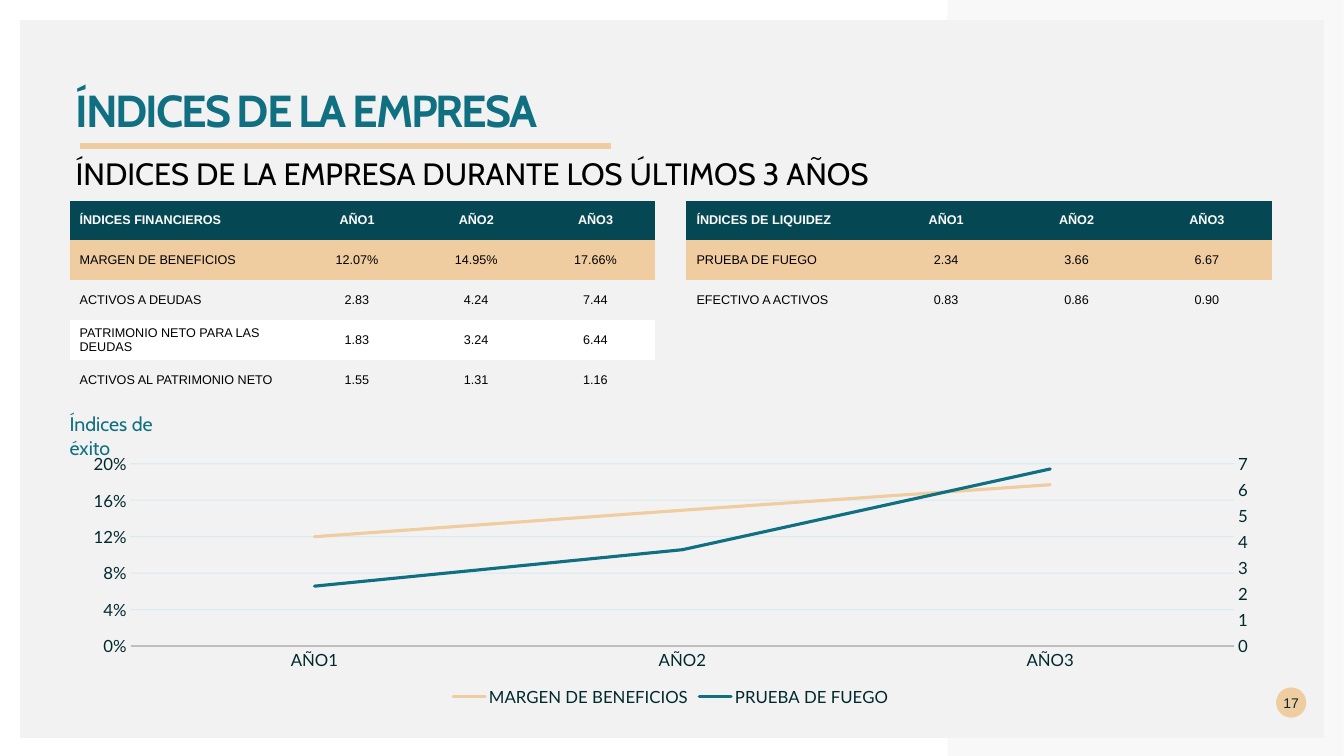
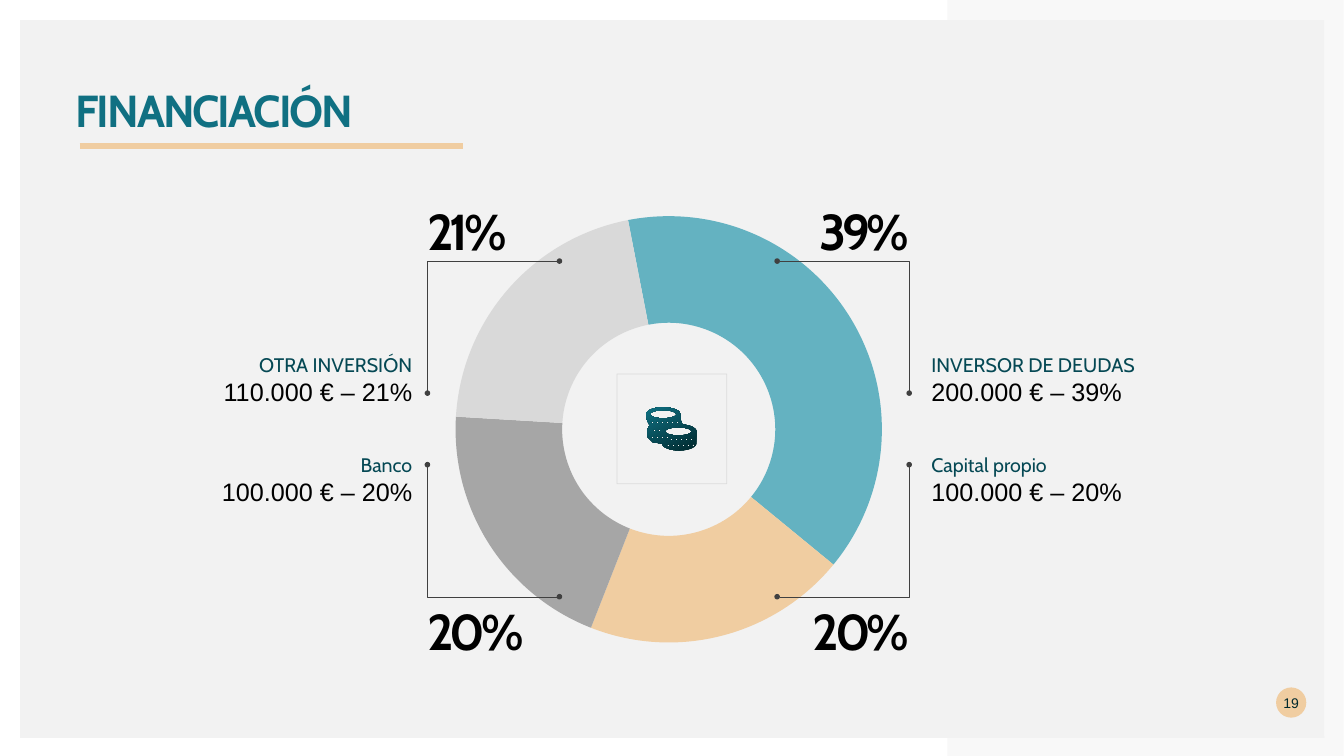
"""Build the company ratios slide and the financing slide."""
from copy import deepcopy
from math import cos, pi, sin
from lxml.etree import SubElement
from pptx import Presentation
from pptx.chart.axis import ValueAxis
from pptx.chart.data import CategoryChartData
from pptx.dml.color import RGBColor
from pptx.enum.chart import XL_CHART_TYPE as CT, XL_LEGEND_POSITION as LP, XL_TICK_MARK as TM
from pptx.enum.shapes import MSO_CONNECTOR as CN, MSO_SHAPE as SH
from pptx.enum.text import MSO_ANCHOR as ANC, PP_ALIGN as AL
from pptx.oxml.ns import qn
from pptx.util import Inches, Pt

WHITE = RGBColor(0xFF, 0xFF, 0xFF)
BLACK = RGBColor(0, 0, 0)
PANEL = RGBColor(0xF2, 0xF2, 0xF2)
SAND = RGBColor(0xF0, 0xCD, 0xA1)
TEAL = RGBColor(0x10, 0x70, 0x82)
DEEP = RGBColor(0x05, 0x48, 0x54)
INK = RGBColor(0x00, 0x29, 0x2E)
SKY = RGBColor(0x64, 0xB2, 0xC1)
GRID = RGBColor(0x00, 0xAE, 0xEF)
LEADER = RGBColor(0x40, 0x40, 0x40)
GREY = RGBColor(0x80, 0x80, 0x80)
MID_GREY = RGBColor(0xA6, 0xA6, 0xA6)
AXIS_GREY = RGBColor(0xBF, 0xBF, 0xBF)
LIGHT_GREY = RGBColor(0xD9, 0xD9, 0xD9)

TITLE = dict(name="Cabin", size=Pt(32), bold=True, color=TEAL, spc=-150)
SUBTITLE = dict(name="Cabin", size=Pt(22), color=BLACK)
CAPTION = dict(name="Cabin", size=Pt(14), color=TEAL)
LABEL = dict(name="Cabin", size=Pt(14), color=DEEP)
AMOUNT = dict(name="Arial", size=Pt(18), color=BLACK)
PERCENT = dict(name="Cabin", size=Pt(36), bold=True, color=BLACK, spc=-300)
NUMBER = dict(name="Arial", size=Pt(10), color=INK)
HEAD = dict(name="Arial", size=Pt(9), bold=True, color=WHITE)
CELL = dict(name="Arial", size=Pt(9), bold=False, color=BLACK)
AXIS = dict(name="Lato", size=Pt(12), color=INK)

ROW_FILLS = [DEEP, SAND, PANEL, WHITE, PANEL]
NO_STYLE = "{2D5ABB26-0587-4C30-8999-92F81FD0307C}"
CENTER = 6.63


def box(x, y, w, h):
    return [Inches(v) for v in (x, y, w, h)]


def set_font(font, style):
    for name, value in style.items():
        if name == "color":
            font.color.rgb = value
        elif name != "spc":
            setattr(font, name, value)


def write(p, text, style, align=AL.LEFT):
    p.alignment = align
    r = p.add_run()
    r.text = text
    set_font(r.font, style)
    if "spc" in style:
        r.font._element.set("spc", str(style["spc"]))


def set_alpha(fill_parent, percent):
    color = next(fill_parent.iter(qn("a:srgbClr")))
    SubElement(color, qn("a:alpha")).set("val", str(percent * 1000))


def frame_text(shape, lines, align=AL.LEFT, anchor=ANC.TOP):
    tf = shape.text_frame
    formats = dict(word_wrap=True, vertical_anchor=anchor, margin_left=0,
                   margin_right=0, margin_top=0, margin_bottom=0)
    for name, value in formats.items():
        setattr(tf, name, value)
    for i, (text, style) in enumerate(lines):
        write(tf.add_paragraph() if i else tf.paragraphs[0], text, style, align)
    return tf


def add_text(s, at, lines, align=AL.LEFT, anchor=ANC.TOP):
    return frame_text(s.shapes.add_textbox(*box(*at)), lines, align, anchor)


def add_fill_shape(s, kind, at, color=None):
    sp = s.shapes.add_shape(kind, *box(*at))
    sp.shadow.inherit = False
    sp.line.fill.background()
    if color is None:
        sp.fill.background()
    else:
        sp.fill.solid()
        sp.fill.fore_color.rgb = color
    return sp


def add_outline(s, contours, close):
    fb = None
    for points in contours:
        start, *rest = [(Inches(x), Inches(y)) for x, y in points]
        if fb is None:
            fb = s.shapes.build_freeform(*start, scale=1.0)
        else:
            fb.move_to(*start)
        fb.add_line_segments(rest, close=close)
    sp = fb.convert_to_shape()
    sp.shadow.inherit = False
    return sp


def add_base(prs, title, number, rule_width):
    s = prs.slides.add_slide(prs.slide_layouts[6])
    add_fill_shape(s, SH.RECTANGLE, (0.2, 0.2, 12.94, 7.12), PANEL)
    edge = add_outline(s, [[(9.4, 0), (13.33, 0), (13.33, 7.5), (9.4, 7.5),
                            (9.4, 7.3), (13.14, 7.3), (13.14, 0.2), (9.4, 0.2)]], True)
    edge.fill.solid()
    edge.fill.fore_color.rgb = PANEL
    edge.line.fill.background()
    set_alpha(edge._element.spPr, 50)
    badge = add_fill_shape(s, SH.OVAL, (12.66, 6.82, 0.3, 0.3), SAND)
    frame_text(badge, [(number, NUMBER)], AL.CENTER, ANC.MIDDLE)
    tf = add_text(s, (0.75, 0.88, 8.27, 0.4), [(title, TITLE)])
    tf.paragraphs[0].line_spacing = 0.9
    rule = s.shapes.add_connector(CN.STRAIGHT, *box(0.79, 1.45, 0.79 + rule_width, 1.45))
    rule.line.color.rgb = SAND
    rule.line.width = Pt(4.32)
    SubElement(rule._element.spPr, qn("a:effectLst"))
    return s


def add_grid(s, x, first_width, rows):
    width, height = 5.81, 1.97 / 5
    gf = s.shapes.add_table(len(rows), 4, *box(x, 1.99, width, height * len(rows)))
    table = gf.table
    table._tbl.tblPr.find(qn("a:tableStyleId")).text = NO_STYLE
    for j, col in enumerate(table.columns):
        col.width = Inches((width - first_width) / 3 if j else first_width)
    for i, values in enumerate(rows):
        table.rows[i].height = Inches(height)
        for j, text in enumerate(values):
            cell = table.cell(i, j)
            cell.fill.solid()
            cell.fill.fore_color.rgb = ROW_FILLS[i]
            cell.vertical_anchor = ANC.MIDDLE
            write(cell.text_frame.paragraphs[0], text, CELL if i else HEAD,
                  AL.CENTER if j else AL.LEFT)


def add_right_axis(chart):
    line = chart.plots[0]._element
    cat, val = chart.category_axis._element, chart.value_axis._element
    right_line, right_cat, right_val = (deepcopy(e) for e in (line, cat, val))
    line.remove(line.findall(qn("c:ser"))[1])
    right_line.remove(right_line.find(qn("c:ser")))
    for e, ids in zip(right_line.findall(qn("c:axId")), ("5001", "5002")):
        e.set("val", ids)
    for e, own, other in ((right_cat, "5001", "5002"), (right_val, "5002", "5001")):
        e.find(qn("c:axId")).set("val", own)
        e.find(qn("c:crossAx")).set("val", other)
    right_cat.find(qn("c:delete")).set("val", "1")
    right_val.find(qn("c:axPos")).set("val", "r")
    right_val.find(qn("c:crosses")).set("val", "max")
    axis = ValueAxis(right_val)
    for name, value in dict(has_major_gridlines=False, maximum_scale=7, major_unit=1).items():
        setattr(axis, name, value)
    axis.tick_labels.number_format = "#,##0"
    line.addnext(right_line)
    val.addnext(right_val)
    val.addnext(right_cat)


def add_line_chart(s):
    data = CategoryChartData()
    data.categories = ["AÑO1", "AÑO2", "AÑO3"]
    data.add_series("MARGEN DE BENEFICIOS", (0.12, 0.149, 0.177), "0%")
    data.add_series("PRUEBA DE FUEGO", (2.3, 3.7, 6.8), "#,##0")
    chart = s.shapes.add_chart(CT.LINE, *box(0.69, 4.45, 11.93, 2.6), data).chart
    chart.has_title = False
    chart.has_legend = True
    chart.legend.position = LP.BOTTOM
    chart.legend.include_in_layout = False
    cat, val = chart.category_axis, chart.value_axis
    formats = dict(minimum_scale=0, maximum_scale=0.2, major_unit=0.04, has_major_gridlines=True)
    for name, value in formats.items():
        setattr(val, name, value)
    val.tick_labels.number_format = "0%"
    val.tick_labels.number_format_is_linked = False
    for axis in (cat, val):
        axis.major_tick_mark = axis.minor_tick_mark = TM.NONE
    for font in (chart.font, chart.legend.font, cat.tick_labels.font, val.tick_labels.font):
        set_font(font, AXIS)
    val.format.line.fill.background()
    grid = val.major_gridlines.format.line
    strokes = [(cat.format.line, AXIS_GREY, 1.5), (grid, GRID, 0.75)]
    for series, color in zip(chart.plots[0].series, (SAND, TEAL)):
        series.smooth = False
        strokes.append((series.format.line, color, 2.25))
    for line, color, width in strokes:
        line.color.rgb = color
        line.width = Pt(width)
        line._ln.set("cap", "rnd" if width > 2 else "flat")
    set_alpha(val._element.find(qn("c:majorGridlines")), 10)
    chart.plots[0].vary_by_categories = False
    add_right_axis(chart)


def add_ring(s):
    data = CategoryChartData()
    data.categories = ["1", "2", "3", "4"]
    data.add_series("Series 1", (39, 20, 20, 21))
    chart = s.shapes.add_chart(CT.DOUGHNUT, *box(3.26, 2.01, 6.75, 4.5), data).chart
    chart.has_title = chart.has_legend = False
    set_font(chart.font, dict(NUMBER, color=BLACK))
    plot = chart.plots[0]
    plot._element.find(qn("c:firstSliceAng")).set("val", "349")
    plot._element.find(qn("c:holeSize")).set("val", "83")
    for i, color in enumerate((SKY, SAND, MID_GREY, LIGHT_GREY)):
        fmt = plot.series[0].points[i].format
        fmt.fill.solid()
        fmt.fill.fore_color.rgb = color
        fmt.line.fill.background()
    area = plot._element.getparent()
    old = area.find(qn("c:layout"))
    if old is not None:
        area.remove(old)
    layout = area.makeelement(qn("c:layout"), {})
    area.insert(0, layout)
    manual = SubElement(layout, qn("c:manualLayout"))
    for tag, value in (("layoutTarget", "inner"), ("xMode", "edge"), ("yMode", "edge"),
                       ("x", "0.18"), ("y", "0.03"), ("w", "0.64"), ("h", "0.94")):
        SubElement(manual, qn("c:" + tag)).set("val", value)


def add_callout(s, side, top, label, amount, percent):
    align = AL.RIGHT if side < 0 else AL.LEFT
    text_x = 1.87 if side < 0 else 9.24
    add_text(s, (text_x, 3.26 if top else 4.49, 2.22, 0.77),
             [(label, LABEL), (f"{amount} € – {percent}", AMOUNT)],
             align, ANC.BOTTOM if top else ANC.TOP)
    inner, outer = CENTER + side * 1.08, CENTER + side * 2.39
    y, end = (2.59, 3.9) if top else (5.92, 4.61)
    leader = add_outline(s, [[(inner, y), (outer, y), (outer, end)]], False)
    leader.fill.background()
    leader.line.color.rgb = LEADER
    leader.line.width = Pt(0.25)
    for tag in ("a:headEnd", "a:tailEnd"):
        tip = SubElement(leader.line._ln, qn(tag))
        for name, value in dict(type="oval", w="sm", len="sm").items():
            tip.set(name, value)
    add_text(s, (4.24 if side < 0 else 7.96, 1.96 if top else 5.92, 1.06, 0.63),
             [(percent, PERCENT)], AL.LEFT if side < 0 else AL.RIGHT, ANC.BOTTOM)


def arc(cx, cy, rx, ry, start, end, steps):
    angles = [pi * (start + (end - start) * k / steps) for k in range(steps + 1)]
    return [(cx + rx * cos(a), cy + ry * sin(a)) for a in angles]


def add_coins(s):
    body = [*arc(6.58, 4.11, 0.17, 0.07, 1, 2, 12), (6.75, 4.16), (6.77, 4.21),
            *arc(6.74, 4.28, 0.17, 0.07, 1.6, 2, 6),
            *arc(6.74, 4.4, 0.17, 0.07, 0, 1, 12), (6.48, 4.39), (6.42, 4.33),
            (6.42, 4.27), (6.44, 4.23), (6.44, 4.21), (6.42, 4.17)]
    contours = [body, arc(6.58, 4.11, 0.13, 0.04, 0, 2, 20), arc(6.73, 4.28, 0.13, 0.04, 0, 2, 20)]
    for left, y, count in ((6.46, 4.18, 6), (6.48, 4.26, 2), (6.46, 4.33, 4),
                           (6.65, 4.35, 5), (6.62, 4.41, 6)):
        for k in range(count):
            x = left + k * 0.05
            contours.append([(x, y), (x + 0.02, y), (x + 0.02, y + 0.02), (x, y + 0.02)])
    coins = add_outline(s, contours, True)
    coins.line.fill.background()
    coins.fill.gradient()
    coins.fill.gradient_angle = 120
    for stop, color in zip(coins.fill.gradient_stops, (INK, TEAL)):
        stop.color.rgb = color


def add_ratios(prs):
    s = add_base(prs, "ÍNDICES DE LA EMPRESA", "17", 5.27)
    add_text(s, (0.75, 1.53, 8.27, 0.39),
             [("ÍNDICES DE LA EMPRESA DURANTE LOS ÚLTIMOS 3 AÑOS", SUBTITLE)])
    years = ["AÑO1", "AÑO2", "AÑO3"]
    add_grid(s, 0.69, 2.26, [
        ["ÍNDICES FINANCIEROS", *years],
        ["MARGEN DE BENEFICIOS", "12.07%", "14.95%", "17.66%"],
        ["ACTIVOS A DEUDAS", "2.83", "4.24", "7.44"],
        ["PATRIMONIO NETO PARA LAS DEUDAS", "1.83", "3.24", "6.44"],
        ["ACTIVOS AL PATRIMONIO NETO", "1.55", "1.31", "1.16"]])
    add_grid(s, 6.81, 1.93, [
        ["ÍNDICES DE LIQUIDEZ", *years],
        ["PRUEBA DE FUEGO", "2.34", "3.66", "6.67"],
        ["EFECTIVO A ACTIVOS", "0.83", "0.86", "0.90"]])
    add_line_chart(s)
    add_text(s, (0.69, 4.09, 1.26, 0.24), [("Índices de éxito", CAPTION)])


def add_financing(prs):
    s = add_base(prs, "FINANCIACIÓN", "19", 3.8)
    add_ring(s)
    for callout in ((-1, True, "OTRA INVERSIÓN", "110.000", "21%"),
                    (-1, False, "Banco", "100.000", "20%"),
                    (1, True, "INVERSOR DE DEUDAS", "200.000", "39%"),
                    (1, False, "Capital propio", "100.000", "20%")):
        add_callout(s, *callout)
    add_coins(s)
    frame = add_fill_shape(s, SH.RECTANGLE, (6.12, 3.71, 1.09, 1.09))
    frame.line.color.rgb = GREY
    frame.line.width = Pt(0.5)
    set_alpha(frame.line._ln, 20)


def main():
    prs = Presentation()
    prs.slide_width, prs.slide_height = Inches(40 / 3), Inches(7.5)
    add_ratios(prs)
    add_financing(prs)
    prs.save("out.pptx")


if __name__ == "__main__":
    main()
